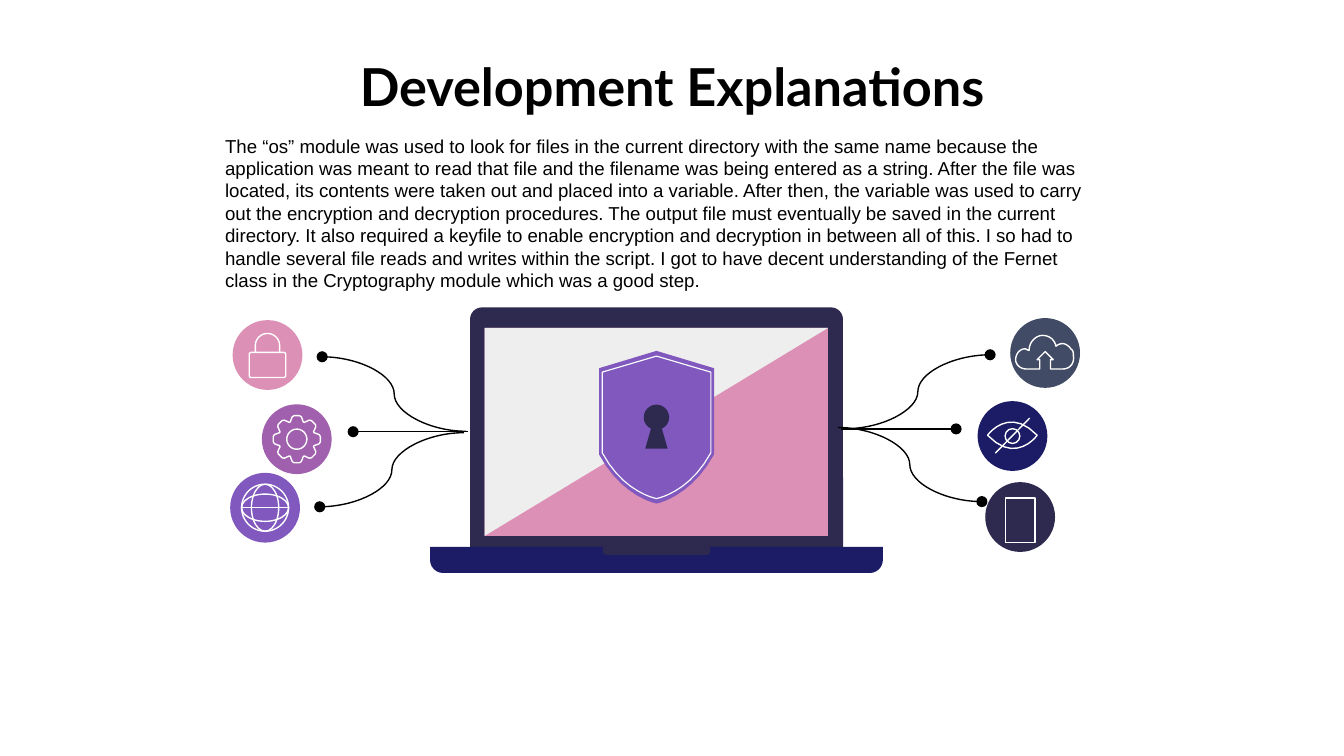
"""Build the slide on development explanations with its security diagram."""
import math
from dataclasses import dataclass
from typing import NamedTuple

import pptx
import pptx.dml.color
import pptx.enum.shapes
import pptx.enum.text
import pptx.oxml
import pptx.oxml.ns
import pptx.util

Pt = pptx.util.Pt
RGBColor = pptx.dml.color.RGBColor
Preset = pptx.enum.shapes.MSO_SHAPE
Link = pptx.enum.shapes.MSO_CONNECTOR

BLACK = RGBColor(0x00, 0x00, 0x00)
WHITE = RGBColor(0xFF, 0xFF, 0xFF)
OFF_WHITE = RGBColor(0xFC, 0xFC, 0xFC)
LIGHT = RGBColor(0xEE, 0xEE, 0xEE)
DARK = RGBColor(0x2E, 0x29, 0x4E)
NAVY = RGBColor(0x1C, 0x1C, 0x66)
SLATE = RGBColor(0x42, 0x4B, 0x66)
PINK = RGBColor(0xDD, 0x90, 0xB6)
VIOLET = RGBColor(0x80, 0x58, 0xBE)
ORCHID = RGBColor(0xA0, 0x60, 0xAD)

BADGE_SIZE = 37.4
CURVE_STEPS = 10

EXPLANATION = (
    "The “os” module was used to look for files in the current directory with the same name "
    "because the application was meant to read that file and the filename was being entered as "
    "a string. After the file was located, its contents were taken out and placed into a "
    "variable. After then, the variable was used to carry out the encryption and decryption "
    "procedures. The output file must eventually be saved in the current directory. It also "
    "required a keyfile to enable encryption and decryption in between all of this. I so had to "
    "handle several file reads and writes within the script. I got to have decent understanding "
    "of the Fernet class in the Cryptography module which was a good step."
)


class Outline(NamedTuple):
    """Line steps of two numbers and cubic steps of six, after a first point."""
    steps: list
    closed: bool = False


class Block(NamedTuple):
    """A preset shape placed relative to an origin."""
    preset: int
    left: float
    top: float
    width: float
    height: float
    radii: tuple = ()


class Stroke(NamedTuple):
    """A straight line between two points."""
    start: tuple
    end: tuple
    color: RGBColor = WHITE
    weight: float = 0.75


@dataclass
class Badge:
    """A round icon and the lead that ties it to the laptop."""
    center: tuple
    color: RGBColor
    glyph: list
    lead_start: tuple
    lead_end: tuple


def centered(width: float, height: float) -> Block:
    """Return an ellipse centred on the origin."""
    return Block(Preset.OVAL, -width / 2, -height / 2, width, height)


def vertices(steps: list) -> list:
    """Turn line and cubic steps into a list of points."""
    points = [steps[0]]
    for step in steps[1:]:
        if len(step) == 2:
            points.append(step)
            continue
        controls = (points[-1], step[:2], step[2:4], step[4:])
        for index in range(1, CURVE_STEPS + 1):
            t = index / CURVE_STEPS
            weights = [math.comb(3, n) * t**n * (1 - t) ** (3 - n) for n in range(4)]
            points.append(tuple(sum(w * c[axis] for w, c in zip(weights, controls))
                                for axis in (0, 1)))
    return points


def gear_outline() -> Outline:
    """Return a gear of eight teeth centred on the origin."""
    tooth = [(-3.5, -9.2), (-2.5, -11.9), (-1.5, -12.6), (1.5, -12.6), (2.5, -11.9), (3.5, -9.2)]
    points = []
    for turn in range(8):
        cosine, sine = math.cos(turn * math.pi / 4), math.sin(turn * math.pi / 4)
        points += [(x * cosine - y * sine, x * sine + y * cosine) for x, y in tooth]
    return Outline(points, True)


def shield_outline(half: float, top: float, shoulder: float, waist: float,
                   bulge: float, bottom: float) -> Outline:
    """Return a shield that is symmetric about the vertical axis."""
    return Outline([(0, top), (-half, shoulder), (-half, waist),
                    (-0.6 * half, bulge, 0, bottom, 0, bottom),
                    (0, bottom, 0.6 * half, bulge, half, waist), (half, shoulder)], True)


def paint(shape, fill: RGBColor | None, line: RGBColor | None, weight: float) -> None:
    """Set the fill and line of a shape and take its shadow away."""
    shape.shadow.inherit = False
    if fill is None:
        shape.fill.background()
    else:
        shape.fill.solid()
        shape.fill.fore_color.rgb = fill
    if line is None:
        shape.line.fill.background()
    else:
        shape.line.color.rgb = line
        shape.line.width = Pt(weight)


def draw_link(shapes, kind: int, stroke: Stroke, dotted_end: bool = False) -> None:
    """Draw a connector, with a dot at its end if wanted."""
    link = shapes.add_connector(kind, *(Pt(n) for n in (*stroke.start, *stroke.end)))
    link.line.color.rgb = stroke.color
    link.line.width = Pt(stroke.weight)
    properties = link.element.spPr
    namespace = pptx.oxml.ns.nsdecls("a")
    if dotted_end:
        properties.find(pptx.oxml.ns.qn("a:ln")).append(
            pptx.oxml.parse_xml(f'<a:tailEnd {namespace} type="oval"/>'))
    properties.append(pptx.oxml.parse_xml(f"<a:effectLst {namespace}/>"))


def draw_part(shapes, part, origin: tuple = (0, 0), fill: RGBColor | None = None,
              line: RGBColor | None = None, weight: float = 0.75) -> None:
    """Draw one outline, block or stroke relative to an origin."""
    x, y = origin
    if isinstance(part, Stroke):
        start, end = [(px + x, py + y) for px, py in (part.start, part.end)]
        draw_link(shapes, Link.STRAIGHT, part._replace(start=start, end=end))
        return
    if isinstance(part, Block):
        shape = shapes.add_shape(part.preset, Pt(x + part.left), Pt(y + part.top),
                                 Pt(part.width), Pt(part.height))
        for index, radius in enumerate(part.radii):
            shape.adjustments[index] = radius
    else:
        first, *rest = [(Pt(px + x), Pt(py + y)) for px, py in vertices(part.steps)]
        builder = shapes.build_freeform(*first)
        builder.add_line_segments(rest, close=part.closed)
        shape = builder.convert_to_shape()
    paint(shape, fill, line, weight)


def draw_badge(shapes, badge: Badge) -> None:
    """Draw a badge with its glyph and its lead."""
    draw_part(shapes, centered(BADGE_SIZE, BADGE_SIZE), badge.center, badge.color)
    for part in badge.glyph:
        draw_part(shapes, part, badge.center, line=WHITE)
    level = badge.lead_start[1] == badge.lead_end[1]
    draw_link(shapes, Link.STRAIGHT if level else Link.CURVE,
              Stroke(badge.lead_start, badge.lead_end, BLACK), True)


def draw_laptop(shapes) -> None:
    """Draw the laptop with the shield on its screen."""
    left, top, right, bottom = 259.7, 175.7, 443.6, 287.1
    axis = (351.7, 0)
    keyhole = Outline([(0, -6.8), (-3.7, -6.8, -6.8, -3.7, -6.8, 0), (-6.8, 2.7, -5.2, 5, -2.9, 6),
                       (-6, 16.8), (6, 16.8), (2.9, 6), (5.2, 5, 6.8, 2.7, 6.8, 0),
                       (6.8, -3.7, 3.7, -6.8, 0, -6.8)], True)
    rounded = Preset.ROUND_2_SAME_RECTANGLE
    draw_part(shapes, Block(rounded, 251.8, 164.7, 199.8, 128.3, (0.05, 0)), fill=DARK)
    draw_part(shapes, Block(Preset.RECTANGLE, left, top, right - left, bottom - top), fill=PINK)
    draw_part(shapes, Block(rounded, 230.4, 293, 242.6, 14, (0, 0.5)), fill=NAVY)
    draw_part(shapes, Block(rounded, 323, 293, 57.5, 4.3, (0, 0.5)), fill=DARK)
    draw_part(shapes, Outline([(left, top), (left, bottom), (right, top)], True), fill=LIGHT)
    draw_part(shapes, shield_outline(30.8, 188, 197.3, 243.5, 266.4, 269.8), axis, VIOLET)
    draw_part(shapes, shield_outline(29.1, 190.8, 199.4, 242.6, 264.2, 267.1), axis,
              line=OFF_WHITE, weight=0.61)
    draw_part(shapes, keyhole, (351.7, 223.6), DARK)


CLOUD = [Outline([
    (-2.9, 8.6), (-10.1, 8.6), (-13, 8.6, -15.8, 6.5, -15.8, 3.6),
    (-15.8, 0.7, -13.7, -2.2, -10.8, -2.2), (-10.1, -2.2, -9.4, -1.4, -8.6, -1.4),
    (-8.6, -5.8, -5, -9.4, -1.4, -9.4), (2.2, -9.4, 5, -7.2, 5.8, -3.6),
    (6.5, -4.3, 7.9, -5, 9.4, -5), (10.8, -5, 13, -3.6, 13.7, -2.2),
    (15.1, -1.4, 15.1, 0, 15.1, 1.4), (15.8, 5, 13.7, 8.6, 9.4, 8.6), (2.9, 8.6),
    (2.9, 3.6), (4.3, 3.6), (0, -0.7), (-4.3, 3.6), (-2.9, 3.6)], True)]
LOCK = [Block(Preset.ROUNDED_RECTANGLE, -9.8, -1.4, 19.6, 13.5, (0.08,)),
        Outline([(6.5, -1.4), (6.5, -5), (6.5, -8.6, 3.6, -11.5, 0, -11.5),
                 (-3.6, -11.5, -6.5, -8.6, -6.5, -5), (-6.5, -1.4)])]
PHONE = [Block(Preset.RECTANGLE, -7.9, -10.1, 15.8, 23.7)]
GLOBE = [centered(25.2, 25.2), centered(14.6, 25.2), centered(25.2, 14.6),
         Stroke((-12.6, 0), (12.6, 0), OFF_WHITE, 0.54)]
EYE = [Outline([(-13.3, -0.4), (2, 15.5, 13.3, -0.4, 13.3, -0.4),
                (-2, -16.3, -13.3, -0.4, -13.3, -0.4)], True),
       centered(7.9, 7.9), Stroke((9.2, -9.6), (-9.2, 9.2))]
GEAR = [gear_outline(), centered(10.8, 10.8)]

BADGES = [
    Badge((559.9, 189.1), SLATE, CLOUD, (453, 229.7), (530.4, 190.1)),
    Badge((143.3, 190.2), PINK, LOCK, (249.8, 231.1), (172.6, 191.2)),
    Badge((546.5, 277), DARK, PHONE, (448.8, 229), (526, 268.7)),
    Badge((142, 272), VIOLET, GLOBE, (248.6, 231.8), (171.3, 271.5)),
    Badge((542.4, 233.6), NAVY, EYE, (450.7, 229.8), (512.2, 229.8)),
    Badge((159, 235.3), ORCHID, GEAR, (251, 231.3), (189.2, 231.3)),
]


def main() -> None:
    """Build the slide and save it."""
    deck = pptx.Presentation()
    deck.slide_width, deck.slide_height = Pt(720), Pt(405)
    slide = deck.slides.add_slide(deck.slide_layouts[5])
    heading = slide.shapes.title
    heading.left, heading.top, heading.width, heading.height = Pt(36), Pt(23), Pt(648), Pt(45.4)
    heading.text_frame.text = "Development Explanations"
    heading.text_frame.auto_size = pptx.enum.text.MSO_AUTO_SIZE.NONE
    heading.text_frame.vertical_anchor = pptx.enum.text.MSO_ANCHOR.MIDDLE
    explanation = slide.shapes.add_textbox(Pt(113.5), Pt(68.5), Pt(477.5), Pt(92))
    explanation.text_frame.word_wrap = True
    explanation.text_frame.text = EXPLANATION
    for holder, face, size, bold in ((heading, "Lato", 28, True), (explanation, "Arial", 10, False)):
        paragraph = holder.text_frame.paragraphs[0]
        paragraph.font.name, paragraph.font.size, paragraph.font.bold = face, Pt(size), bold
        paragraph.font.color.rgb = BLACK
    heading.text_frame.paragraphs[0].alignment = pptx.enum.text.PP_ALIGN.CENTER
    draw_laptop(slide.shapes)
    for badge in BADGES:
        draw_badge(slide.shapes, badge)
    deck.save("out.pptx")


if __name__ == "__main__":
    main()
